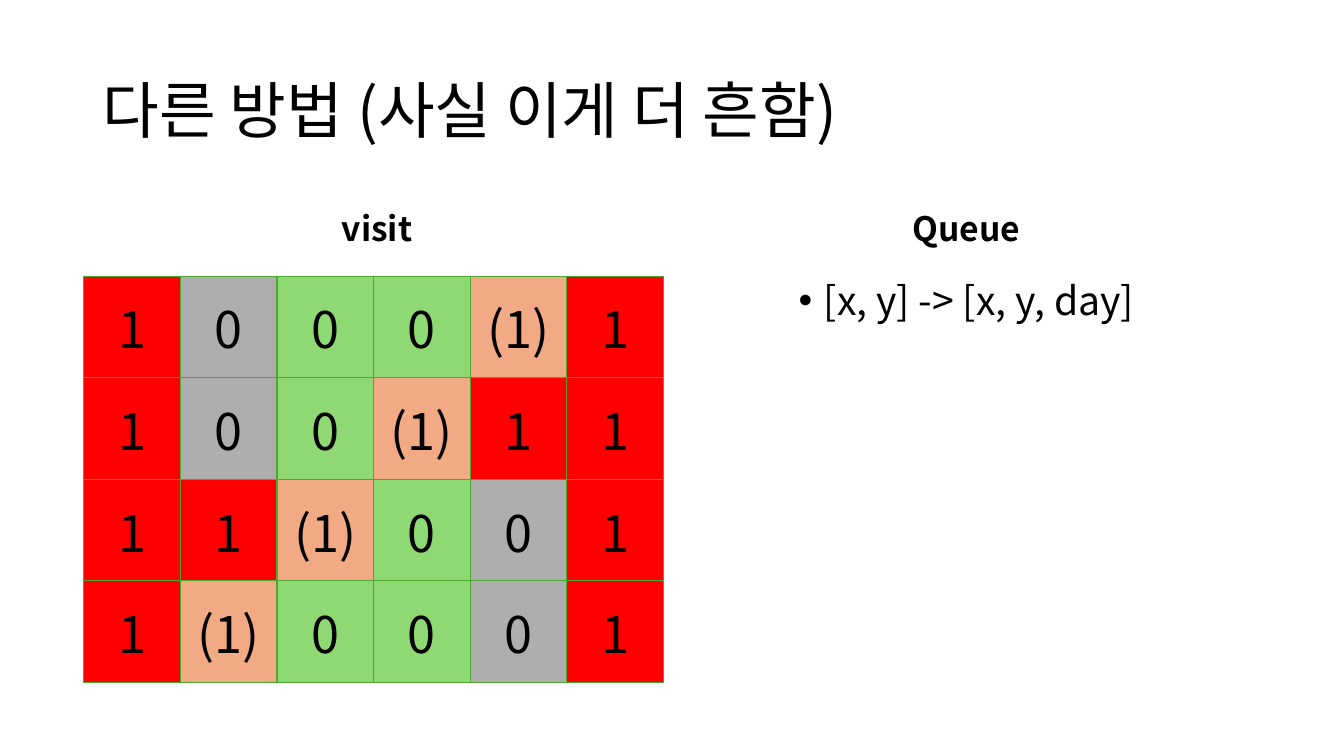
from lxml import etree
from pptx import Presentation
from pptx import util as u
from pptx.dml.color import RGBColor
from pptx.enum import text as t
from pptx.oxml import ns

FONT = "Noto Sans CJK KR"
COLORS = {
    "text": "000000",
    "border": "4EA72E",
    "visited": "FF0000",
    "next": "F2AA84",
    "open": "8ED973",
    "blocked": "AEAEAE",
}
# Each state of a grid cell: colour key and label
STATES = {
    "V": ("visited", "1"),
    "N": ("next", "(1)"),
    "O": ("open", "0"),
    "B": ("blocked", "0"),
}
VISIT_GRID = ["VBOONV", "VBONVV", "VVNOBV", "VNOOBV"]


def rgb(key):
    return RGBColor.from_string(COLORS[key])


def write(frame, words, size, bold=False, align=t.PP_ALIGN.CENTER,
          line=None, before=None, bullet=False):
    """Write one formatted paragraph into a text frame."""
    para = frame.paragraphs[0]
    para.alignment = align
    if line:
        para.line_spacing = line
    if before:
        para.space_before = u.Pt(before)
    if bullet:
        props = para._p.get_or_add_pPr()
        props.set("marL", str(u.Inches(0.25)))
        props.set("indent", str(u.Inches(-0.25)))
        etree.SubElement(props, ns.qn("a:buFont"), typeface="Arial")
        etree.SubElement(props, ns.qn("a:buChar"), char="•")
    run = para.add_run()
    run.text = words
    font = run.font
    font.name, font.size, font.bold = FONT, u.Pt(size), bold
    font.color.rgb = rgb("text")
    etree.SubElement(run._r.get_or_add_rPr(), ns.qn("a:ea"), typeface=FONT)


def add_text(slide, box, words, size, anchor=t.MSO_ANCHOR.MIDDLE, **fmt):
    frame = slide.shapes.add_textbox(*map(u.Inches, box)).text_frame
    frame.word_wrap = True
    frame.vertical_anchor = anchor
    write(frame, words, size, line=0.9, **fmt)


def add_borders(cell):
    props = cell._tc.get_or_add_tcPr()
    for place, side in enumerate(("lnL", "lnR", "lnT", "lnB")):
        edge = etree.Element(ns.qn("a:" + side), w=str(u.Pt(1)))
        fill = etree.SubElement(edge, ns.qn("a:solidFill"))
        etree.SubElement(fill, ns.qn("a:srgbClr"), val=COLORS["border"])
        props.insert(place, edge)


def add_heading(slide, left, top, width, height, words):
    add_text(slide, (left, top, width, height), words, 24, bold=True, before=10)


def add_visit(slide, left, top, width, height):
    """Heading above the coloured grid of visited cells."""
    heading_height = 0.9
    add_heading(slide, left + 0.09, top, width - 0.11, heading_height, "visit")

    row_count, column_count = len(VISIT_GRID), len(VISIT_GRID[0])
    grid_box = (left, top + heading_height, width, height - heading_height)
    frame = slide.shapes.add_table(row_count, column_count, *map(u.Inches, grid_box))
    grid = frame.table
    grid.first_row = grid.horz_banding = False
    for row, states in enumerate(VISIT_GRID):
        for column, state in enumerate(states):
            color, label = STATES[state]
            cell = grid.cell(row, column)
            cell.vertical_anchor = t.MSO_ANCHOR.MIDDLE
            cell.fill.solid()
            cell.fill.fore_color.rgb = rgb(color)
            add_borders(cell)
            write(cell.text_frame, label, 36)


def add_queue(slide, left, top, width, height):
    """Heading above the change to the queue entries."""
    heading_height = 0.9
    add_heading(slide, left, top, width, heading_height, "Queue")
    add_text(slide, (left, top + heading_height, width, height - heading_height),
             "[x, y] -> [x, y, day]", 28, anchor=t.MSO_ANCHOR.TOP,
             before=10, bullet=True)


def main():
    deck = Presentation()
    deck.slide_width, deck.slide_height = u.Inches(13.33), u.Inches(7.5)
    slide = deck.slides.add_slide(deck.slide_layouts[6])

    # Title
    add_text(slide, (0.92, 0.4, 11.5, 1.45), "다른 방법 (사실 이게 더 흔함)", 44,
             align=t.PP_ALIGN.LEFT)

    # Two columns
    add_visit(slide, 0.83, 1.84, 5.75, 4.93)
    add_queue(slide, 6.75, 1.84, 5.67, 4.93)

    deck.save("out.pptx")


if __name__ == "__main__":
    main()
